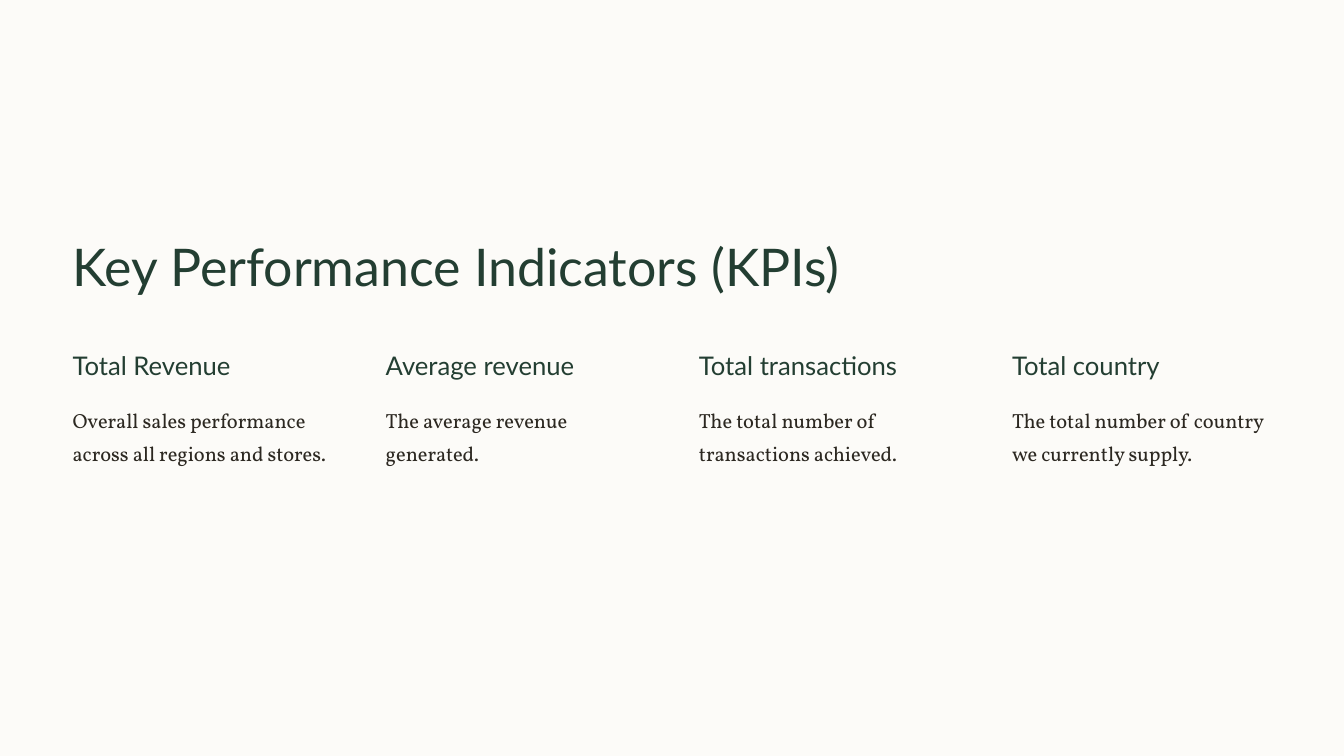
"""Build a slide that introduces four key performance indicators."""
from pptx import Presentation
from pptx.dml.color import RGBColor
from pptx.enum.shapes import MSO_SHAPE
from pptx.enum.text import MSO_ANCHOR, MSO_AUTO_SIZE, PP_ALIGN
from pptx.util import Inches, Pt

GREEN = "233E32"
BROWN = "2C2821"
CREAM = "FCFBF8"
LEFT = 1.08
COLUMN_STEP = 4.66
COLUMN_WIDTH = 3.89

indicators = [
    ("Total Revenue", "Overall sales performance across all regions and stores.", 1.56),
    ("Average revenue", "The average revenue generated.", 1.06),
    ("Total transactions", "The total number of transactions achieved.", 1.06),
    ("Total country", "The total number of country we currently supply.", 1.56),
]


def color(value):
    return RGBColor.from_string(value)


def write_text(shape, text, font_name, size, line_spacing, font_color):
    frame = shape.text_frame
    frame.text = text
    frame.word_wrap = True
    frame.auto_size = MSO_AUTO_SIZE.NONE
    frame.vertical_anchor = MSO_ANCHOR.TOP
    frame.margin_left = frame.margin_right = 0
    frame.margin_top = frame.margin_bottom = 0
    paragraph = frame.paragraphs[0]
    paragraph.alignment = PP_ALIGN.LEFT
    paragraph.line_spacing = Pt(line_spacing)
    paragraph.space_before = Pt(0)
    paragraph.font.name = font_name
    paragraph.font.size = Pt(size)
    paragraph.font.color.rgb = color(font_color)


presentation = Presentation()
presentation.slide_width = Inches(20)
presentation.slide_height = Inches(11.25)
slide = presentation.slides.add_slide(presentation.slide_layouts[5])

title = slide.shapes.title
title.left, title.top = Inches(LEFT), Inches(3.45)
title.width, title.height = Inches(11.9), Inches(0.99)
write_text(title, "Key Performance Indicators (KPIs)", "Lato", 55.6, 69.4, GREEN)

backdrop = slide.shapes.add_shape(
    MSO_SHAPE.RECTANGLE, 0, 0, presentation.slide_width, presentation.slide_height
)
backdrop.shadow.inherit = False
backdrop.fill.solid()
backdrop.fill.fore_color.rgb = color(CREAM)
backdrop.line.fill.background()
title.element.addprevious(backdrop.element)

for column, (name, description, height) in enumerate(indicators):
    left = Inches(LEFT + column * COLUMN_STEP)
    heading = slide.shapes.add_textbox(left, Inches(5.19), Inches(COLUMN_WIDTH), Inches(0.51))
    write_text(heading, name, "Lato", 27.5, 34.4, GREEN)
    body = slide.shapes.add_textbox(left, Inches(5.94), Inches(COLUMN_WIDTH), Inches(height))
    write_text(body, description, "Vollkorn", 21.87, 35.6, BROWN)

presentation.save("out.pptx")
